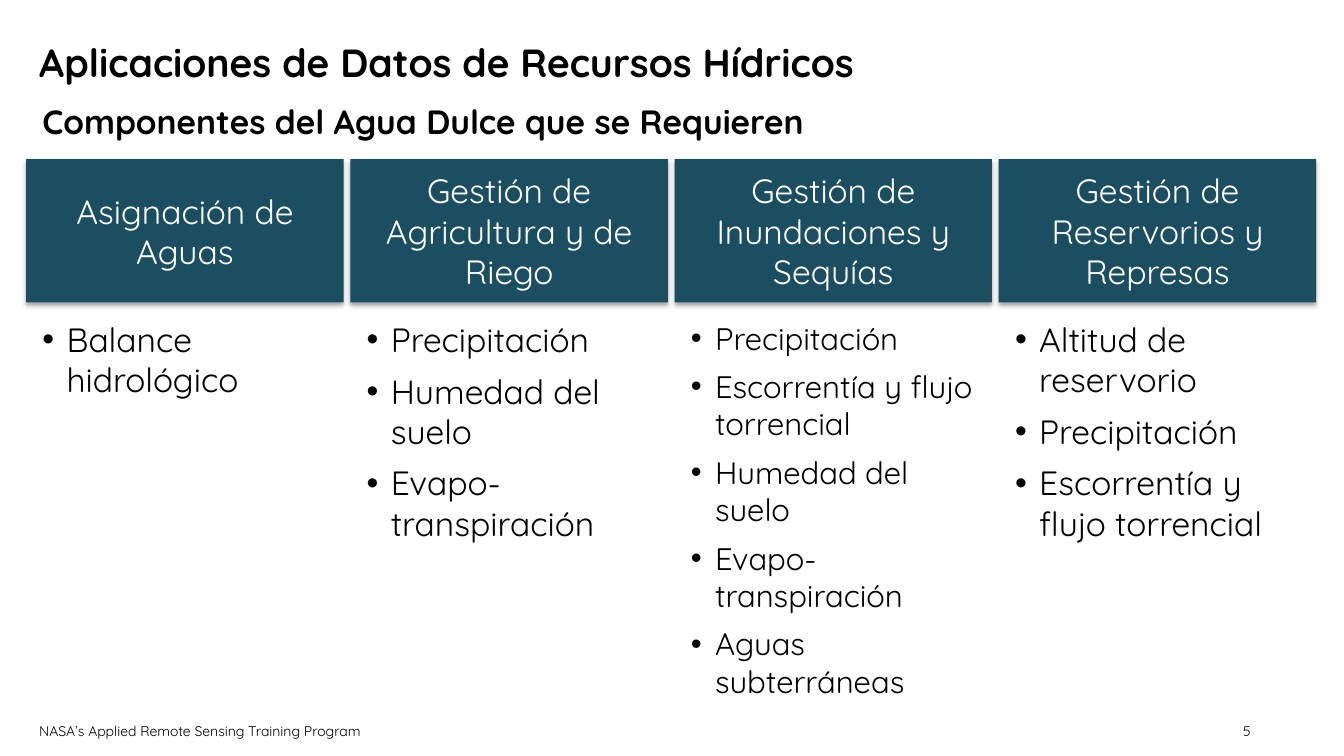
from lxml.etree import SubElement
from pptx import Presentation
from pptx.dml.color import RGBColor
from pptx.enum.shapes import MSO_SHAPE
from pptx.enum.text import MSO_ANCHOR, PP_ALIGN
from pptx.oxml import parse_xml
from pptx.oxml.ns import nsdecls, qn
from pptx.util import Cm, Pt

TEAL = RGBColor(0x1C, 0x4E, 0x62)
BLACK = RGBColor(0, 0, 0)
WHITE = RGBColor(255, 255, 255)
FONT = "Quicksand"
LEFT = 0.66
FULL_WIDTH = 32.51
COLUMN_WIDTH = 8
COLUMN_STEP = 8.17

SHADOW = (
    f'<a:effectLst {nsdecls("a")}>'
    '<a:outerShdw blurRad="40000" dist="23000" dir="5400000" rotWithShape="0">'
    '<a:srgbClr val="000000"><a:alpha val="35000"/></a:srgbClr>'
    '</a:outerShdw></a:effectLst>'
)

COLUMNS = [
    ("Asignación de Aguas", 24, ["Balance hidrológico"]),
    ("Gestión de Agricultura y de Riego", 24,
     ["Precipitación", "Humedad del suelo", "Evapo-transpiración"]),
    ("Gestión de Inundaciones y Sequías", 22.2,
     ["Precipitación", "Escorrentía y flujo torrencial", "Humedad del suelo",
      "Evapo-transpiración", "Aguas subterráneas"]),
    ("Gestión de Reservorios y Represas", 24,
     ["Altitud de reservorio", "Precipitación", "Escorrentía y flujo torrencial"]),
]

deck = Presentation()
deck.slide_width = Cm(33.87)
deck.slide_height = Cm(19.05)
page = deck.slides.add_slide(deck.slide_layouts[6])


def write(shape, lines, size, color=BLACK, bold=False, align=PP_ALIGN.LEFT,
          anchor=MSO_ANCHOR.TOP, inset_left=0.33, inset_right=0.33):
    frame = shape.text_frame
    frame.word_wrap = True
    frame.vertical_anchor = anchor
    frame.margin_left, frame.margin_right = Cm(inset_left), Cm(inset_right)
    frame.margin_top = frame.margin_bottom = Cm(0.18)
    frame.text = "\n".join(lines)
    for paragraph in frame.paragraphs:
        paragraph.alignment = align
        for span in paragraph.runs:
            span.font.name = FONT
            span.font.size = Pt(size)
            span.font.bold = bold
            span.font.color.rgb = color


def add_text(left, top, width, height, lines, size, **style):
    box = page.shapes.add_textbox(Cm(left), Cm(top), Cm(width), Cm(height))
    write(box, lines, size, **style)
    return box


add_text(LEFT, 0.76, FULL_WIDTH, 1.6, ["Aplicaciones de Datos de Recursos Hídricos"],
         28, bold=True, anchor=MSO_ANCHOR.MIDDLE)
add_text(LEFT, 2.36, FULL_WIDTH, 1.42, ["Componentes del Agua Dulce que se Requieren"],
         24, bold=True, inset_left=0.41)

for index, (heading, size, items) in enumerate(COLUMNS):
    left = LEFT + index * COLUMN_STEP
    header = page.shapes.add_shape(MSO_SHAPE.RECTANGLE, Cm(left), Cm(4.01),
                                   Cm(COLUMN_WIDTH), Cm(3.61))
    header.shadow.inherit = False
    header.fill.solid()
    header.fill.fore_color.rgb = TEAL
    header.line.fill.background()
    properties = header.element.spPr
    properties.replace(properties.find(qn("a:effectLst")), parse_xml(SHADOW))
    write(header, [heading], 24, color=WHITE, align=PP_ALIGN.CENTER,
          anchor=MSO_ANCHOR.MIDDLE, inset_left=0.76, inset_right=0.76)

    component_list = add_text(left, 7.86, COLUMN_WIDTH, 8.64, items, size, inset_left=0)
    for position, paragraph in enumerate(component_list.text_frame.paragraphs):
        settings = paragraph._p.get_or_add_pPr()
        settings.set("marL", str(Cm(1.02)))
        settings.set("indent", str(Cm(-0.61)))
        SubElement(settings, qn("a:buFont")).set("typeface", "Arial")
        SubElement(settings, qn("a:buChar")).set("char", "•")
        if position:
            paragraph.space_before = Pt(8)

add_text(LEFT, 18.03, 10.9, 0.76, ["NASA’s Applied Remote Sensing Training Program"], 10)
add_text(29.95, 18.03, 1.9, 0.76, ["5"], 10, align=PP_ALIGN.RIGHT)

deck.save("out.pptx")
